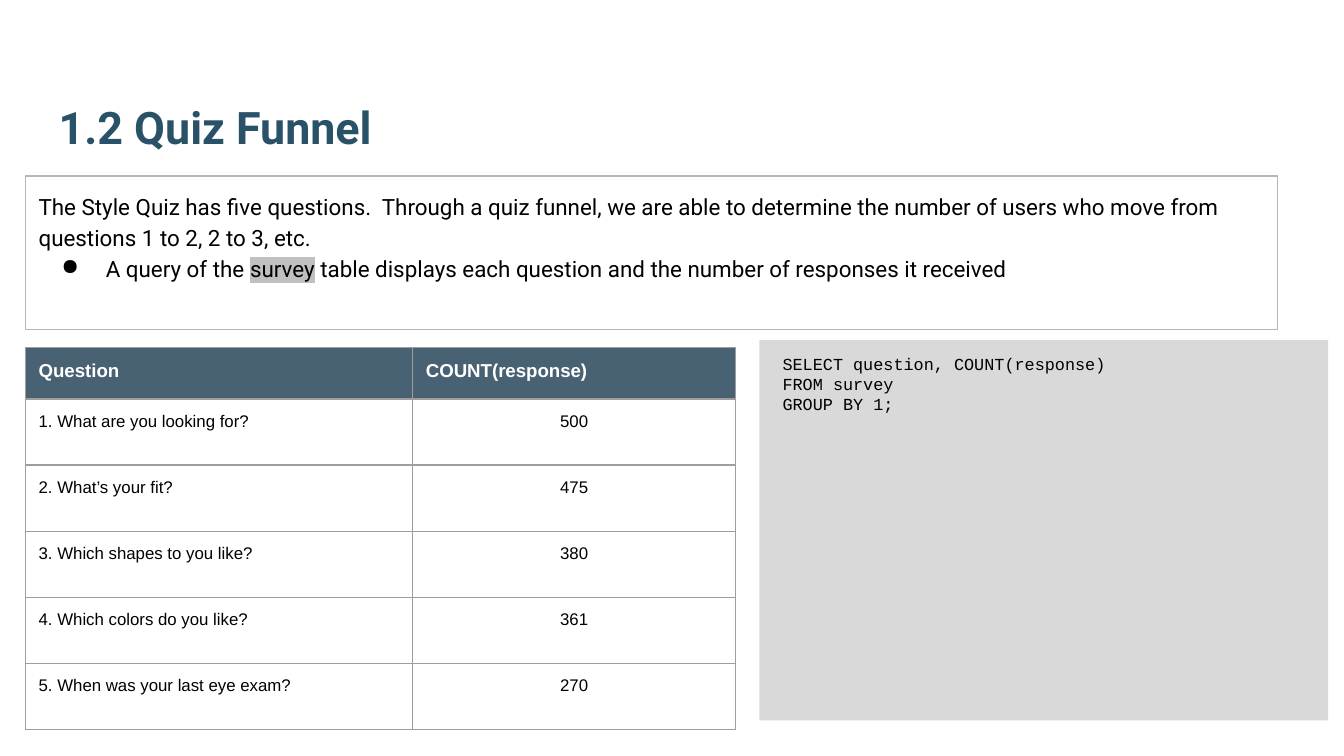
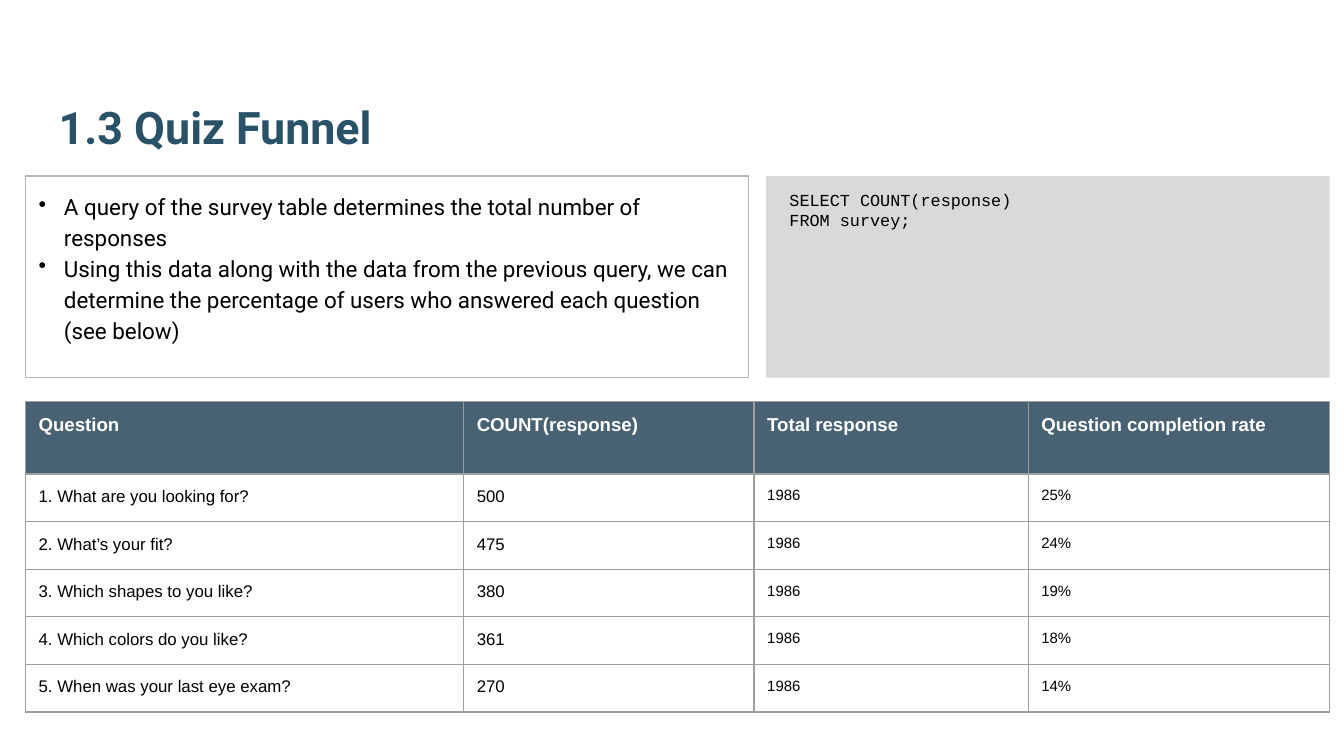
"""Builds the two Quiz Funnel slides: findings, SQL query and result table."""
from dataclasses import dataclass

from lxml import etree
from pptx import Presentation
from pptx import util as u
from pptx.dml.color import RGBColor
from pptx.enum import shapes, text
from pptx.oxml.ns import qn


@dataclass(frozen=True)
class Theme:
    title: str = "295269"
    ink: str = "000000"
    header_ink: str = "FFFFFF"
    header_fill: str = "204056"
    header_opacity: int = 82
    grid: str = "9E9E9E"
    frame: str = "B7B7B7"
    code_fill: str = "D9D9D9"
    marker: str = "C0C0C0"
    display_font: str = "Roboto"
    table_font: str = "Arial"
    code_font: str = "Courier New"
    title_size: int = 24
    body_size: int = 12
    header_size: int = 10
    cell_size: int = 9
    small_size: int = 8
    hairline: float = 0.75


@dataclass(frozen=True)
class Column:
    heading: str
    width: float
    values: list
    size: int = Theme.cell_size
    align: text.PP_ALIGN = text.PP_ALIGN.LEFT


@dataclass(frozen=True)
class Point:
    pieces: list
    bullet: str = ""
    margin: float = 0
    hanging: float = 0


THEME = Theme()
LEFT, PANEL_TOP, INSET = 0.48, 3.33, 0.25
QUESTIONS = [
    "1. What are you looking for?",
    "2. What’s your fit?",
    "3. Which shapes to you like?",
    "4. Which colors do you like?",
    "5. When was your last eye exam?",
]
RESPONSES = ["500", "475", "380", "361", "270"]
RATES = ["25%", "24%", "19%", "18%", "14%"]


def rgb(value):
    return RGBColor.from_string(value)


def add_color(parent, tag, value):
    holder = etree.SubElement(parent, qn(tag))
    return etree.SubElement(holder, qn("a:srgbClr"), val=value)


def style(paragraph, font, size, color, bold=False):
    paragraph.font.name = font
    paragraph.font.size = u.Pt(size)
    paragraph.font.color.rgb = rgb(color)
    paragraph.font.bold = bold


def set_insets(frame):
    frame.word_wrap = True
    frame.margin_left = frame.margin_right = u.Cm(INSET)
    frame.margin_top = frame.margin_bottom = u.Cm(INSET)


def next_paragraph(frame, index):
    return frame.add_paragraph() if index else frame.paragraphs[0]


def add_title(slide, wording):
    frame = slide.shapes.add_textbox(
        u.Cm(0.86), u.Cm(0.81), u.Cm(23.67), u.Cm(2.34)).text_frame
    set_insets(frame)
    frame.vertical_anchor = text.MSO_ANCHOR.BOTTOM
    heading = frame.paragraphs[0]
    heading.text = wording
    style(heading, THEME.display_font, THEME.title_size, THEME.title, True)


def add_panel(slide, left, top, width, height):
    panel = slide.shapes.add_shape(
        shapes.MSO_SHAPE.RECTANGLE, u.Cm(left), u.Cm(top), u.Cm(width), u.Cm(height))
    panel.shadow.inherit = False
    panel.fill.background()
    panel.line.fill.background()
    set_insets(panel.text_frame)
    panel.text_frame.vertical_anchor = text.MSO_ANCHOR.TOP
    return panel


def add_bullet(paragraph, point):
    properties = paragraph._p.get_or_add_pPr()
    properties.set("marL", str(u.Cm(point.margin)))
    properties.set("indent", str(-u.Cm(point.hanging)))
    add_color(properties, "a:buClr", THEME.ink)
    etree.SubElement(properties, qn("a:buChar"), char=point.bullet)


def add_findings(slide, width, height, points, marked=""):
    panel = add_panel(slide, LEFT, PANEL_TOP, width, height)
    panel.line.color.rgb = rgb(THEME.frame)
    panel.line.width = u.Pt(THEME.hairline)
    for index, point in enumerate(points):
        paragraph = next_paragraph(panel.text_frame, index)
        paragraph.alignment = text.PP_ALIGN.LEFT
        paragraph.line_spacing = 1.15
        if point.bullet:
            add_bullet(paragraph, point)
        style(paragraph, THEME.display_font, THEME.body_size, THEME.ink)
        for piece in point.pieces:
            run = paragraph.add_run()
            run.text = piece
            if piece == marked:
                add_color(run._r.get_or_add_rPr(), "a:highlight", THEME.marker)


def add_query(slide, left, top, width, height, lines):
    panel = add_panel(slide, left, top, width, height)
    panel.fill.solid()
    panel.fill.fore_color.rgb = rgb(THEME.code_fill)
    for index, line in enumerate(lines):
        paragraph = next_paragraph(panel.text_frame, index)
        paragraph.text = line
        paragraph.alignment = text.PP_ALIGN.LEFT
        style(paragraph, THEME.code_font, THEME.cell_size, THEME.ink)


def add_borders(properties):
    for position, side in enumerate(("a:lnL", "a:lnR", "a:lnT", "a:lnB")):
        border = etree.Element(qn(side), w=str(u.Pt(THEME.hairline)))
        add_color(border, "a:solidFill", THEME.grid)
        properties.insert(position, border)


def fill_header(cell):
    cell.fill.solid()
    cell.fill.fore_color.rgb = rgb(THEME.header_fill)
    color = cell._tc.tcPr.find(qn("a:solidFill")).find(qn("a:srgbClr"))
    etree.SubElement(color, qn("a:alpha"), val=str(THEME.header_opacity * 1000))


def fill_cell(cell, wording, column, is_header):
    set_insets(cell)
    paragraph = cell.text_frame.paragraphs[0]
    paragraph.text = wording
    if is_header:
        fill_header(cell)
        style(paragraph, THEME.table_font, THEME.header_size, THEME.header_ink, True)
    else:
        cell.fill.background()
        paragraph.alignment = column.align
        style(paragraph, THEME.table_font, column.size, THEME.ink)
    add_borders(cell._tc.get_or_add_tcPr())


def add_results(slide, top, header_height, row_height, columns):
    row_count = len(QUESTIONS) + 1
    width = sum(column.width for column in columns)
    height = header_height + row_height * len(QUESTIONS)
    table = slide.shapes.add_table(
        row_count, len(columns), u.Cm(LEFT), u.Cm(top), u.Cm(width), u.Cm(height)).table
    table.horz_banding = False
    for index, row in enumerate(table.rows):
        row.height = u.Cm(row_height if index else header_height)
    for across, column in enumerate(columns):
        table.columns[across].width = u.Cm(column.width)
        for down, wording in enumerate([column.heading, *column.values]):
            fill_cell(table.cell(down, across), wording, column, down == 0)


def build_responses(slide):
    add_title(slide, "1.2 Quiz Funnel")
    add_findings(slide, 23.67, 2.9, [
        Point(["The Style Quiz has five questions.  Through a quiz funnel, we are able to "
               "determine the number of users who move from questions 1 to 2, 2 to 3, etc."]),
        Point(["A query of the ", "survey",
               " table displays each question and the number of responses it received"],
              "●", 1.27, 0.84),
    ], marked="survey")
    add_results(slide, 6.57, 0.97, 1.25, [
        Column("Question", 7.32, QUESTIONS),
        Column("COUNT(response)", 6.1, RESPONSES, align=text.PP_ALIGN.CENTER),
    ])
    add_query(slide, 14.35, 6.43, 10.75, 7.19, [
        " SELECT question, COUNT(response)", " FROM survey", " GROUP BY 1;"])


def build_completion(slide):
    add_title(slide, "1.3 Quiz Funnel")
    add_query(slide, 14.48, PANEL_TOP, 10.65, 3.81, [
        " SELECT COUNT(response)", " FROM survey;"])
    findings = [
        "A query of the survey table determines the total number of responses",
        "Using this data along with the data from the previous query, we can determine "
        "the percentage of users who answered each question (see below)",
    ]
    add_findings(slide, 13.67, 3.81, [
        Point([finding], "•", 0.48, 0.48) for finding in findings])
    add_results(slide, 7.59, 1.37, 0.9, [
        Column("Question", 8.28, QUESTIONS),
        Column("COUNT(response)", 5.49, RESPONSES),
        Column("Total response", 5.18, ["1986"] * len(QUESTIONS), THEME.small_size),
        Column("Question completion rate", 5.7, RATES, THEME.small_size),
    ])


def main():
    deck = Presentation()
    deck.slide_width, deck.slide_height = u.Cm(25.4), u.Cm(14.29)
    for build in (build_responses, build_completion):
        build(deck.slides.add_slide(deck.slide_layouts[6]))
    deck.save("out.pptx")


if __name__ == "__main__":
    main()
